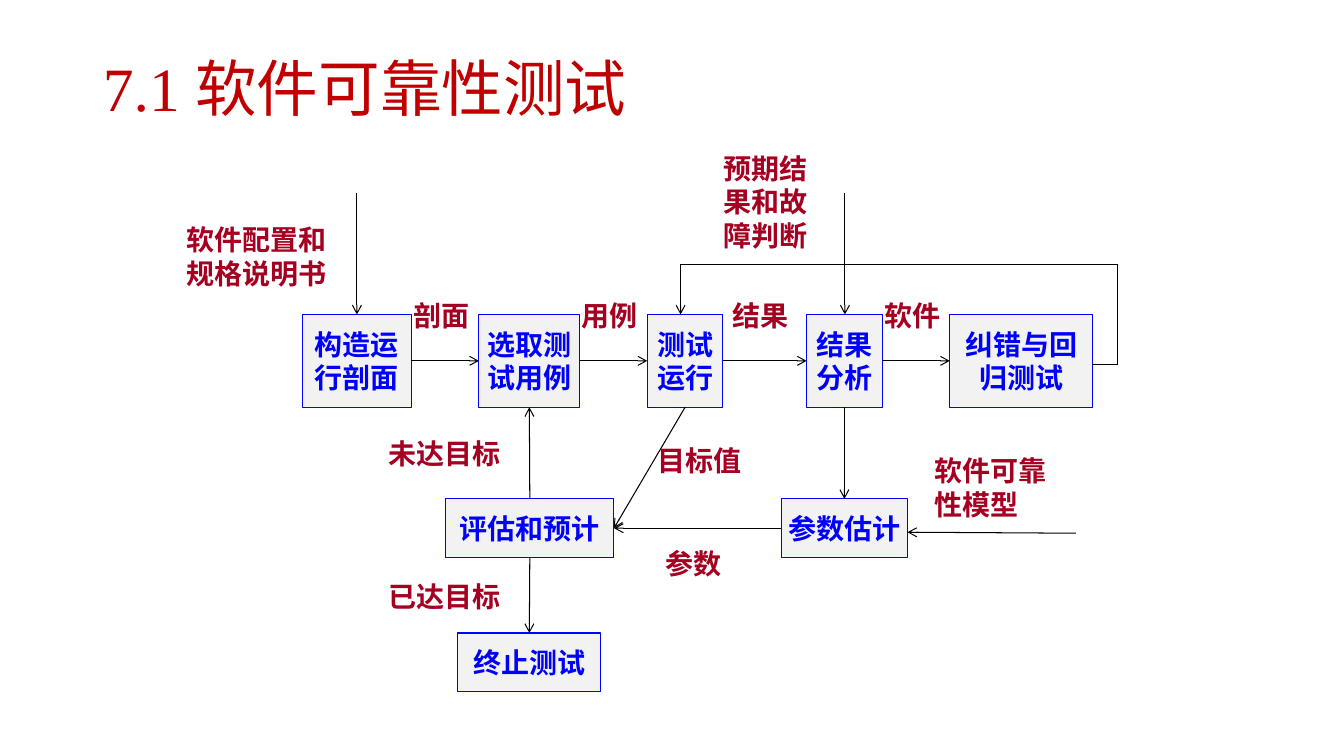
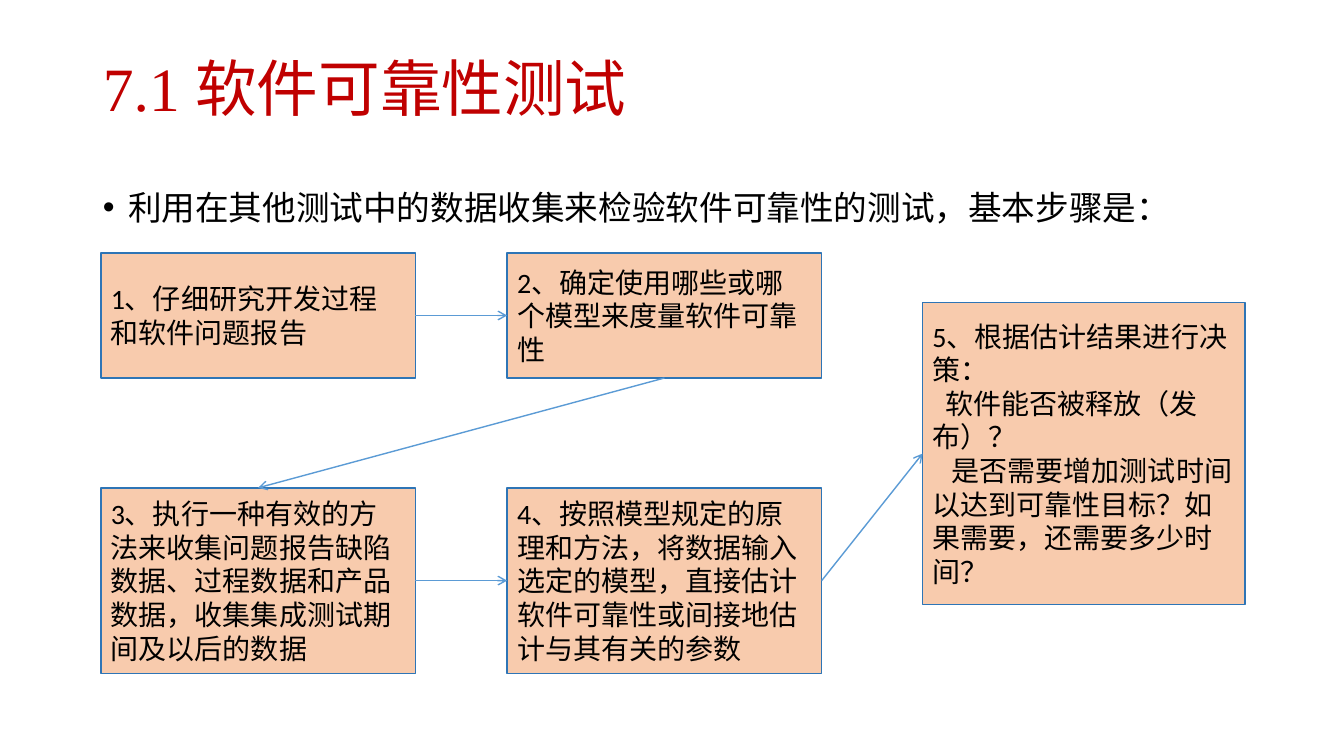
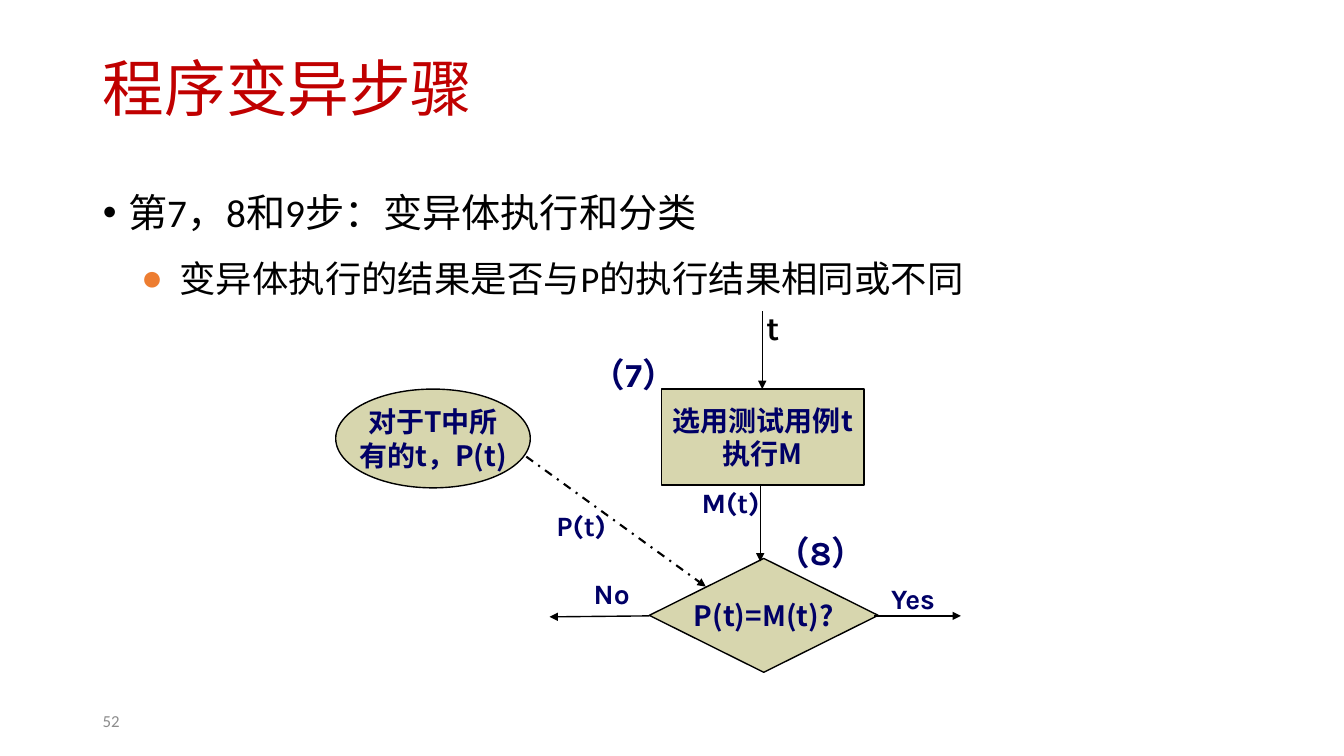
from itertools import pairwise

from lxml.etree import SubElement
from pptx import Presentation
from pptx.dml.color import RGBColor
from pptx.enum.dml import MSO_LINE
from pptx.enum.shapes import MSO_CONNECTOR, MSO_SHAPE
from pptx.enum.text import MSO_ANCHOR, MSO_AUTO_SIZE, PP_ALIGN
from pptx.oxml.ns import qn
from pptx.util import Inches, Pt

BLACK = RGBColor(0, 0, 0)
TITLE_RED = RGBColor(0xC0, 0, 0)
LABEL_RED = RGBColor(0xA5, 0, 0x21)
BOX_BLUE = RGBColor(0, 0, 0xFF)
BOX_GREY = RGBColor(0xF2, 0xF2, 0xF2)
STEP_FILL = RGBColor(0xF8, 0xCB, 0xAD)
STEP_LINE = RGBColor(0x2E, 0x75, 0xB6)
STEP_ARROW = RGBColor(0x5B, 0x9B, 0xD5)
NAVY = RGBColor(0, 0, 0x66)
KHAKI = RGBColor(0xD7, 0xD6, 0xAE)
ORANGE = RGBColor(0xED, 0x7D, 0x31)
PAGE_GREY = RGBColor(0x8C, 0x8C, 0x8C)

LATIN = "Calibri"
CJK = "Noto Sans CJK SC"
CJK_JP = "Noto Sans CJK JP"
TOP, LEFT, BOTTOM, RIGHT = range(4)  # connection sites of a rectangle

RELIABILITY = "7.1 软件可靠性测试"


def write(p, text, size=20, font=LATIN, color=BLACK, bold=False,
          align=PP_ALIGN.LEFT, spacing=None, before=None, indent=0):
    """Fill one paragraph with one formatted run."""
    p.alignment = align
    if spacing:
        p.line_spacing = spacing
    if before is not None:
        p.space_before = Pt(before)
    if indent:
        p._p.get_or_add_pPr().set("indent", str(Inches(indent)))
    r = p.add_run()
    r.text = text
    r.font.size = Pt(size)
    r.font.name = font
    r.font.bold = bold
    r.font.color.rgb = color
    SubElement(r._r.get_or_add_rPr(), qn("a:ea")).set("typeface", CJK)


def write_lines(tf, lines, **fmt):
    for i, line in enumerate(lines):
        write(tf.add_paragraph() if i else tf.paragraphs[0], line, **fmt)


def set_bullet(p, char, margin, hanging, color=BLACK):
    pPr = p._p.get_or_add_pPr()
    pPr.set("marL", str(Inches(margin)))
    pPr.set("indent", str(-Inches(hanging)))
    SubElement(SubElement(pPr, qn("a:buClr")), qn("a:srgbClr")).set("val", str(color))
    SubElement(pPr, qn("a:buFont")).set("typeface", "Arial")
    SubElement(pPr, qn("a:buChar")).set("char", char)


def place(sp, x, y, w, h):
    sp.left, sp.top, sp.width, sp.height = map(Inches, (x, y, w, h))


def add_slide(prs, title, font=LATIN, has_body=False):
    """Add a slide with the shared title; return it."""
    s = prs.slides.add_slide(prs.slide_layouts[1 if has_body else 5])
    place(s.shapes.title, 0.92, 0.4, 11.5, 1.02)
    tf = s.shapes.title.text_frame
    tf.auto_size = MSO_AUTO_SIZE.NONE
    tf.vertical_anchor = MSO_ANCHOR.MIDDLE
    write(tf.paragraphs[0], title, size=44, font=font, color=TITLE_RED, spacing=0.9)
    if has_body:
        body = s.placeholders[1]
        place(body, 0.92, 1.68, 11.5, 5.07)
        body.text_frame.auto_size = MSO_AUTO_SIZE.NONE
    return s


def add_box(s, at, lines, fill, line, kind=MSO_SHAPE.RECTANGLE, width=1,
            inset=0.1, wrap=True, **fmt):
    sp = s.shapes.add_shape(kind, *map(Inches, at))
    sp.shadow.inherit = False
    sp.fill.solid()
    sp.fill.fore_color.rgb = fill
    sp.line.color.rgb = line
    sp.line.width = Pt(width)
    tf = sp.text_frame
    tf.word_wrap = wrap
    tf.vertical_anchor = MSO_ANCHOR.MIDDLE
    tf.margin_left = tf.margin_right = Inches(inset)
    write_lines(tf, lines, **fmt)
    return sp


def add_label(s, at, text, anchor=MSO_ANCHOR.TOP, **fmt):
    tf = s.shapes.add_textbox(*map(Inches, at)).text_frame
    tf.word_wrap = True
    tf.vertical_anchor = anchor
    write(tf.paragraphs[0], text, **fmt)


def add_line(s, start, end, color=BLACK, width=0.75, head="arrow", dash=None):
    c = s.shapes.add_connector(MSO_CONNECTOR.STRAIGHT, *map(Inches, (*start, *end)))
    c.line.color.rgb = color
    c.line.width = Pt(width)
    if dash:
        c.line.dash_style = dash
    spPr = c.element.spPr
    if head:
        SubElement(spPr.find(qn("a:ln")), qn("a:tailEnd")).set("type", head)
    SubElement(spPr, qn("a:effectLst"))
    return c


def connect(s, a, a_site, b, b_site, **style):
    """Draw an arrow glued to connection sites of two boxes."""
    c = add_line(s, (0, 0), (0, 0), **style)
    c.begin_connect(a, a_site)
    c.end_connect(b, b_site)


def reliability_flow(prs):
    s = add_slide(prs, RELIABILITY, font="Times New Roman")

    def box(x, y, w, h, *lines):
        return add_box(s, (x, y, w, h), lines, BOX_GREY, BOX_BLUE, width=0.75, inset=0.04,
                       font=CJK, color=BOX_BLUE, bold=True, align=PP_ALIGN.CENTER)

    top_row = [box(x, 3.12, w, 0.92, *lines) for x, w, *lines in (
        (3, 1.08, "构造运", "行剖面"), (4.75, 1, "选取测试用例"), (6.42, 0.75, "测试运行"),
        (8, 0.75, "结果分析"), (9.42, 1.42, "纠错与回归测试"))]
    _, select, run, analyse, _ = top_row
    estimate = box(7.75, 4.95, 1.25, 0.58, "参数估计")
    evaluate = box(4.42, 4.95, 1.67, 0.58, "评估和预计")
    stop = box(4.54, 6.28, 1.42, 0.58, "终止测试")

    for a, b in pairwise(top_row):
        connect(s, a, RIGHT, b, LEFT)
    for a, a_site, b, b_site in (
            (analyse, BOTTOM, estimate, TOP), (estimate, LEFT, evaluate, RIGHT),
            (evaluate, TOP, select, BOTTOM), (evaluate, BOTTOM, stop, TOP),
            (run, BOTTOM, evaluate, RIGHT)):
        connect(s, a, a_site, b, b_site)
    for start, end in (((3.54, 1.91), (3.54, 3.12)), ((8.38, 1.91), (8.38, 3.12)),
                       ((10.67, 5.29), (9, 5.28))):
        add_line(s, start, end)

    feedback = [(10.83, 3.62), (11.08, 3.62), (11.08, 2.62), (6.75, 2.62), (6.75, 3.12)]
    for start, end in pairwise(feedback):
        add_line(s, start, end, head="arrow" if end == feedback[-1] else None)

    for x, y, w, h, text in (
            (1.75, 2.16, 1.67, 0.77, "软件配置和规格说明书"),
            (7.08, 1.45, 1.08, 1.11, "预期结果和故障判断"),
            (4, 2.91, 0.83, 0.44, "剖面"), (5.67, 2.91, 0.83, 0.44, "用例"),
            (7.17, 2.91, 0.83, 0.44, "结果"), (8.67, 2.91, 0.83, 0.44, "软件"),
            (9.17, 4.45, 1.42, 0.77, "软件可靠性模型"),
            (3.75, 4.28, 1.42, 0.44, "未达目标"), (3.75, 5.7, 1.42, 0.44, "已达目标"),
            (6.42, 4.35, 1.42, 0.44, "目标值"), (6.5, 5.37, 1.17, 0.44, "参数")):
        add_label(s, (x, y, w, h), text, font=CJK, color=LABEL_RED, bold=True)


def reliability_steps(prs):
    s = add_slide(prs, RELIABILITY, font="Times New Roman", has_body=True)
    p = s.placeholders[1].text_frame.paragraphs[0]
    set_bullet(p, "•", 0.25, 0.25)
    write(p, "利用在其他测试中的数据收集来检验软件可靠性的测试，基本步骤是：",
          size=24, spacing=1.3, before=0)

    steps = [add_box(s, at, [text], STEP_FILL, STEP_LINE) for *at, text in (
        (1, 2.51, 3.12, 1.24, "1、仔细研究开发过程和软件问题报告"),
        (5.03, 2.51, 3.12, 1.24, "2、确定使用哪些或哪个模型来度量软件可靠性"),
        (1, 4.84, 3.12, 1.84,
         "3、执行一种有效的方法来收集问题报告缺陷数据、过程数据和产品数据，收集集成测试期间及以后的数据"),
        (5.03, 4.84, 3.12, 1.84,
         "4、按照模型规定的原理和方法，将数据输入选定的模型，直接估计软件可靠性或间接地估计与其有关的参数"),
        (9.15, 3, 3.2, 3, "5、根据估计结果进行决策："))]
    decision = steps[-1].text_frame
    write(decision.add_paragraph(), "软件能否被释放（发布）？", indent=0.13)
    write(decision.add_paragraph(),
          "是否需要增加测试时间以达到可靠性目标？如果需要，还需要多少时间？", indent=0.19)

    sites = ((RIGHT, LEFT), (BOTTOM, TOP), (RIGHT, LEFT), (RIGHT, LEFT))
    for (a, b), (a_site, b_site) in zip(pairwise(steps), sites):
        connect(s, a, a_site, b, b_site, color=STEP_ARROW, width=1)


def mutation_steps(prs):
    s = add_slide(prs, "程序变异步骤", has_body=True)
    tf = s.placeholders[1].text_frame
    p = tf.paragraphs[0]
    set_bullet(p, "•", 0.25, 0.25)
    write(p, "第7，8和9步：变异体执行和分类", size=28, spacing=1.3, before=0)
    p = tf.add_paragraph()
    p.level = 1
    set_bullet(p, "●", 0.76, 0.38, ORANGE)
    write(p, "变异体执行的结果是否与P的执行结果相同或不同", size=26, spacing=1.3, before=5)
    add_label(s, (0.92, 6.95, 3, 0.4), "52", anchor=MSO_ANCHOR.MIDDLE, size=12, color=PAGE_GREY)

    for kind, at, lines in (
            (MSO_SHAPE.FLOWCHART_DECISION, (6.44, 5.54, 2.27, 1.13), ["P(t)=M(t)?"]),
            (MSO_SHAPE.OVAL, (3.33, 3.86, 1.93, 0.98), ["对于T中所", "有的t，P(t)"]),
            (MSO_SHAPE.FLOWCHART_PROCESS, (6.56, 3.86, 2.01, 0.95), ["选用测试用例t", "执行M"])):
        add_box(s, at, lines, KHAKI, BLACK, kind=kind, wrap=False, font=CJK_JP,
                color=NAVY, bold=True, align=PP_ALIGN.CENTER)

    for start, end in (((7.56, 3.09), (7.56, 3.86)), ((7.54, 4.8), (7.54, 5.57)),
                       ((6.44, 6.11), (5.45, 6.12)), ((8.67, 6.11), (9.53, 6.11))):
        add_line(s, start, end, width=1, head="triangle")
    add_line(s, (5.22, 4.53), (7, 5.82), width=1.5, head="triangle", dash=MSO_LINE.DASH_DOT)

    for x, y, w, h, text, size, color in (
            (7.6, 5.23, 1.37, 0.5, "（8）", 24, NAVY), (5.77, 3.46, 1.45, 0.5, "（7）", 24, NAVY),
            (6.86, 4.77, 0.84, 0.44, "M(t)", 20, NAVY), (5.42, 5, 0.84, 0.44, "P(t)", 20, NAVY),
            (5.79, 5.67, 0.84, 0.44, "No", 20, NAVY), (8.74, 5.72, 0.84, 0.44, "Yes", 20, NAVY),
            (7.5, 3, 0.68, 0.5, "t", 24, BLACK)):
        add_label(s, (x, y, w, h), text, size=size, font="Karla", color=color, bold=True)


def main():
    prs = Presentation()
    prs.slide_width, prs.slide_height = Inches(13.33), Inches(7.5)
    reliability_flow(prs)
    reliability_steps(prs)
    mutation_steps(prs)
    prs.save("out.pptx")


if __name__ == "__main__":
    main()
